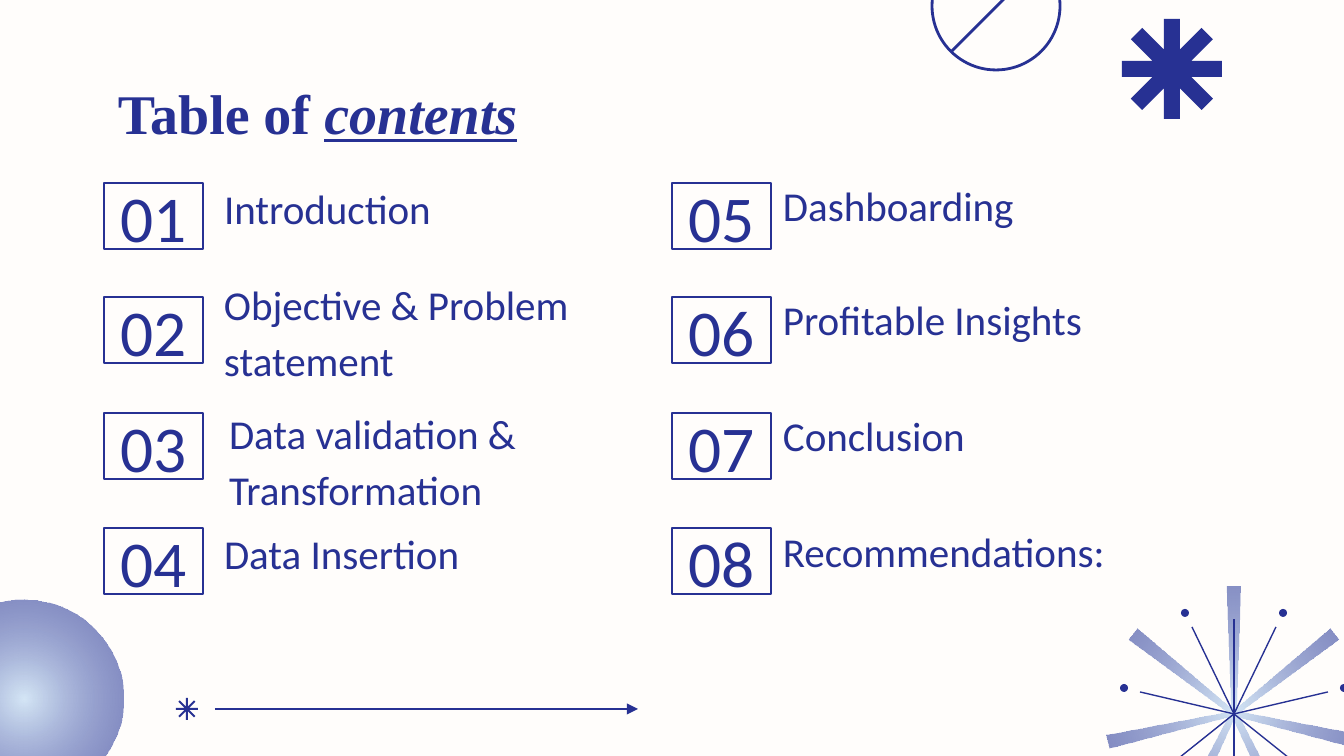
import math

import pptx
import pptx.dml.color
import pptx.enum.shapes
import pptx.enum.text
import pptx.oxml
import pptx.oxml.ns
import pptx.util

SCALE = 914400 / 134.4  # EMU in one px
COLORS = {"paper": "FFFDFB", "ink": "273193", "glow": "D4E5F5"}
INSET = 13
NUMBER_SIZE = (99, 66)
ROW_TOPS = (183, 297, 413, 528)
LEFT_ENTRIES = [  # text, left, top, width, height
    ("Introduction", 211, 191, 353, 55),
    ("Objective & Problem statement", 211, 280, 474, 118),
    ("Data validation &\nTransformation", 216, 401, 348, 126),
    ("Data Insertion", 211, 536, 353, 55),
]
RIGHT_ENTRIES = [
    ("Dashboarding", 770, 188, 554, 55),
    ("Profitable Insights", 770, 302, 554, 55),
    ("Conclusion", 770, 418, 554, 55),
    ("Recommendations:", 770, 534, 554, 55),
]
# Offsets from the centre of the burst; the left half is mirrored to the right.
BURST_CENTER = (1234, 714)
RAY_OUTLINE = [(-7, -127), (-3, -6), (-96, -85), (-105, -74), (-7, -2), (-127, 21),
               (-124, 35), (-6, 4), (-62, 111), (-50, 117), (0, 6)]
SPOKE_ENDS = [(0, -95), (0, 95), (-42, -87), (42, -87), (-94, -22), (94, -22),
              (-75, 60), (75, 60)]
DOT_CENTERS = [(-49, -101), (49, -101), (-110, -26), (110, -26)]


def px(*lengths):
    return [pptx.util.Emu(round(length * SCALE)) for length in lengths]


def color(name):
    return pptx.dml.color.RGBColor.from_string(COLORS[name])


def paint(shape, fill=None, line_width=None):
    shape.shadow.inherit = False
    if fill:
        shape.fill.solid()
        shape.fill.fore_color.rgb = color(fill)
    else:
        shape.fill.background()
    if line_width:
        shape.line.color.rgb = color("ink")
        shape.line.width = pptx.util.Pt(line_width)
    else:
        shape.line.fill.background()


def paint_glow(shape):
    """Fill with a radial gradient that ends in see-through ink."""
    paint(shape)
    properties = shape._element.spPr
    gradient = pptx.oxml.parse_xml(
        f'<a:gradFill {pptx.oxml.ns.nsdecls("a")} rotWithShape="1"><a:gsLst>'
        f'<a:gs pos="0"><a:srgbClr val="{COLORS["glow"]}"/></a:gs>'
        f'<a:gs pos="100000"><a:srgbClr val="{COLORS["ink"]}">'
        '<a:alpha val="61000"/></a:srgbClr></a:gs></a:gsLst>'
        '<a:path path="circle"><a:fillToRect l="50000" t="50000" r="50000" b="50000"/>'
        '</a:path></a:gradFill>')
    properties.replace(properties.find(pptx.oxml.ns.qn("a:noFill")), gradient)


def add_circle(slide, center_x, center_y, radius):
    box = px(center_x - radius, center_y - radius, 2 * radius, 2 * radius)
    return slide.shapes.add_shape(pptx.enum.shapes.MSO_SHAPE.OVAL, *box)


def add_line(slide, start, end, width=0.75, arrow=False):
    line = slide.shapes.add_connector(
        pptx.enum.shapes.MSO_CONNECTOR.STRAIGHT, *px(*start, *end))
    line.line.color.rgb = color("ink")
    line.line.width = pptx.util.Pt(width)
    namespace = pptx.oxml.ns.nsdecls("a")
    if arrow:
        line.line._get_or_add_ln().append(
            pptx.oxml.parse_xml(f'<a:tailEnd {namespace} type="triangle"/>'))
    line._element.spPr.append(pptx.oxml.parse_xml(f"<a:effectLst {namespace}/>"))


def add_polygon(slide, points):
    first, *others = [px(*point) for point in points]
    builder = slide.shapes.build_freeform(*first, scale=1.0)
    builder.add_line_segments(others, close=True)
    return builder.convert_to_shape()


def add_asterisk(slide, center_x, center_y, reach, half_width):
    """Eight bars of equal width around one centre."""
    notch = half_width / math.tan(math.pi / 8)
    points = []
    for arm in range(8):
        cosine, sine = math.cos(arm * math.pi / 4), math.sin(arm * math.pi / 4)
        for along, across in ((reach, -half_width), (reach, half_width), (notch, half_width)):
            points.append((center_x + along * cosine - across * sine,
                           center_y + along * sine + across * cosine))
    paint(add_polygon(slide, points), "ink")


def set_text(shape, text, size, font, anchor, align=None, spacing=None):
    frame = shape.text_frame
    frame.word_wrap = True
    frame.vertical_anchor = anchor
    frame.margin_left, frame.margin_top, frame.margin_right, frame.margin_bottom = px(*[INSET] * 4)
    frame.text = text
    for paragraph in frame.paragraphs:
        paragraph.alignment = align
        paragraph.line_spacing = spacing
        paragraph.font.name = font
        paragraph.font.size = pptx.util.Pt(size)
        paragraph.font.color.rgb = color("ink")


def add_title(slide):
    title = slide.shapes.add_textbox(*px(105, 79, 1134, 66))
    set_text(title, "Table of ", 30, "Times New Roman", pptx.enum.text.MSO_ANCHOR.MIDDLE)
    paragraph = title.text_frame.paragraphs[0]
    paragraph.font.bold = True
    emphasis = paragraph.add_run()
    emphasis.text = "contents"
    emphasis.font.italic = True
    emphasis.font.underline = True


def add_column(slide, number_left, first_number, entries):
    for row, (text, *box) in enumerate(entries):
        number = slide.shapes.add_shape(
            pptx.enum.shapes.MSO_SHAPE.RECTANGLE,
            *px(number_left, ROW_TOPS[row], *NUMBER_SIZE))
        paint(number, line_width=0.75)
        set_text(number, f"{first_number + row:02d}", 35, "Calibri",
                 pptx.enum.text.MSO_ANCHOR.MIDDLE, pptx.enum.text.PP_ALIGN.CENTER)
        label = slide.shapes.add_textbox(*px(*box))
        set_text(label, text, 22, "Calibri", pptx.enum.text.MSO_ANCHOR.BOTTOM, spacing=1.15)


def add_burst(slide):
    center_x, center_y = BURST_CENTER
    mirrored = [(-x, y) for x, y in reversed(RAY_OUTLINE[:-1])]
    paint_glow(add_polygon(
        slide, [(center_x + x, center_y + y) for x, y in RAY_OUTLINE + mirrored]))
    for x, y in SPOKE_ENDS:
        add_line(slide, BURST_CENTER, (center_x + x, center_y + y))
    for x, y in DOT_CENTERS:
        paint(add_circle(slide, center_x + x, center_y + y, 4), "ink")


def add_decorations(slide):
    paint_glow(add_circle(slide, 24, 699, 99))
    add_asterisk(slide, 187, 709, 11, 1)
    add_line(slide, (215, 709), (638, 709), arrow=True)
    paint(add_circle(slide, 996, 6, 64), line_width=1.5)
    add_line(slide, (951, 52), (1042, -39), 1.5)
    add_asterisk(slide, 1172, 69, 50, 8)
    add_burst(slide)


def main():
    presentation = pptx.Presentation()
    presentation.slide_width, presentation.slide_height = px(1344, 756)
    slide = presentation.slides.add_slide(presentation.slide_layouts[6])
    slide.background.fill.solid()
    slide.background.fill.fore_color.rgb = color("paper")
    add_decorations(slide)
    add_title(slide)
    add_column(slide, 104, 1, LEFT_ENTRIES)
    add_column(slide, 672, 5, RIGHT_ENTRIES)
    presentation.save("out.pptx")


if __name__ == "__main__":
    main()
